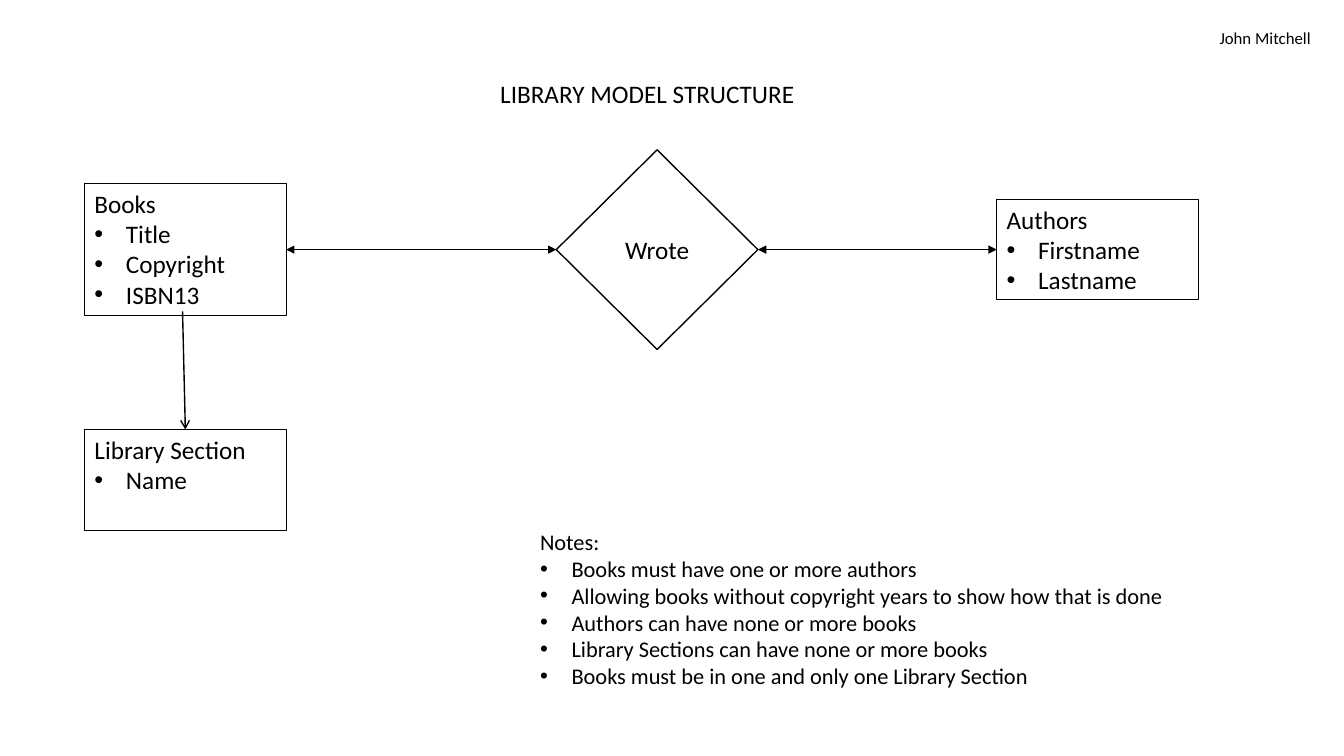
from lxml.etree import SubElement
from pptx import Presentation
from pptx.dml.color import RGBColor
from pptx.enum.shapes import MSO_CONNECTOR, MSO_SHAPE
from pptx.enum.text import MSO_ANCHOR, PP_ALIGN
from pptx.oxml.ns import qn
from pptx.util import Pt

COLORS = {"ink": "000000", "paper": "FFFFFF"}
FONT = "Calibri"
INDENT = 22.5


def color(name):
    return RGBColor.from_string(COLORS[name])


def add_bullet(paragraph):
    properties = paragraph._p.get_or_add_pPr()
    properties.set("marL", str(Pt(INDENT)))
    properties.set("indent", str(-Pt(INDENT)))
    SubElement(properties, qn("a:buFont"), typeface="Arial")
    SubElement(properties, qn("a:buChar"), char="•")


def write_text(shape, heading, size, items=(), align=PP_ALIGN.LEFT,
               anchor=MSO_ANCHOR.TOP, wrap=True):
    frame = shape.text_frame
    frame.word_wrap = wrap
    frame.vertical_anchor = anchor
    for index, text in enumerate([heading, *items]):
        paragraph = frame.add_paragraph() if index else frame.paragraphs[0]
        paragraph.alignment = align
        if index:
            add_bullet(paragraph)
        run = paragraph.add_run()
        run.text = text
        run.font.name = FONT
        run.font.size = Pt(size)
        run.font.color.rgb = color("ink")


def add_label(slide, box, heading, size, **options):
    shape = slide.shapes.add_textbox(*map(Pt, box))
    write_text(shape, heading, size, **options)


def add_outlined(slide, kind, box, line_width):
    shape = slide.shapes.add_shape(kind, *map(Pt, box))
    shape.shadow.inherit = False
    shape.fill.background()
    shape.line.color.rgb = color("ink")
    shape.line.width = Pt(line_width)
    return shape


def add_entity(slide, box, name, attributes):
    shape = add_outlined(slide, MSO_SHAPE.RECTANGLE, box, 0.75)
    write_text(shape, name, 18, attributes)


def add_relation(slide, box, name):
    shape = add_outlined(slide, MSO_SHAPE.DIAMOND, box, 1)
    shape.fill.solid()
    shape.fill.fore_color.rgb = color("paper")
    write_text(shape, name, 18, align=PP_ALIGN.CENTER, anchor=MSO_ANCHOR.MIDDLE)


def add_arrow(slide, start, end, **arrowheads):
    connector = slide.shapes.add_connector(
        MSO_CONNECTOR.STRAIGHT, *map(Pt, (*start, *end)))
    connector.line.color.rgb = color("ink")
    connector.line.width = Pt(1)
    line = connector.line._get_or_add_ln()
    for tag, kind in arrowheads.items():
        SubElement(line, qn(f"a:{tag}"), type=kind)
    SubElement(connector._element.spPr, qn("a:effectLst"))


def add_header(slide, box):
    left, top, width, height = box
    add_label(slide, (left + 203.8, top + 52.6, 517, 28.8),
              "LIBRARY MODEL STRUCTURE", 18, align=PP_ALIGN.CENTER)
    add_label(slide, (left + width - 96, top + 16.5, 80.6, 21.6),
              "John Mitchell", 12, wrap=False)


def add_model(slide, box):
    left, top, width, height = box
    entity_width, entity_height = 144, 72
    middle = top + 71.3
    authors_left = left + width - entity_width
    wrote_left = left + 337
    section_top = top + height - entity_height
    section_center = left + entity_width / 2

    add_entity(slide, (left, top + 24, entity_width, 94.5),
               "Books", ["Title", "Copyright", "ISBN13"])
    add_entity(slide, (authors_left, middle - entity_height / 2, entity_width, entity_height),
               "Authors", ["Firstname", "Lastname"])
    add_entity(slide, (left, section_top, entity_width, entity_height),
               "Library Section", ["Name"])
    add_relation(slide, (wrote_left, top, entity_width, 142.6), "Wrote")

    for start, end in [(left + entity_width, wrote_left),
                       (wrote_left + entity_width, authors_left)]:
        add_arrow(slide, (start, middle), (end, middle),
                  headEnd="triangle", tailEnd="triangle")
    add_arrow(slide, (section_center, section_top),
              (section_center - 2, section_top - 84.3), headEnd="arrow")


def add_notes(slide, box):
    add_label(slide, box, "Notes:", 16, items=[
        "Books must have one or more authors",
        "Allowing books without copyright years to show how that is done",
        "Authors can have none or more books",
        "Library Sections can have none or more books",
        "Books must be in one and only one Library Section",
    ])


presentation = Presentation()
presentation.slide_width = Pt(960)
presentation.slide_height = Pt(540)
slide = presentation.slides.add_slide(presentation.slide_layouts[6])
add_header(slide, (0, 0, 960, 90))
add_model(slide, (60.4, 107, 795.6, 271.8))
add_notes(slide, (378.7, 373.7, 545, 123.8))
presentation.save("out.pptx")
